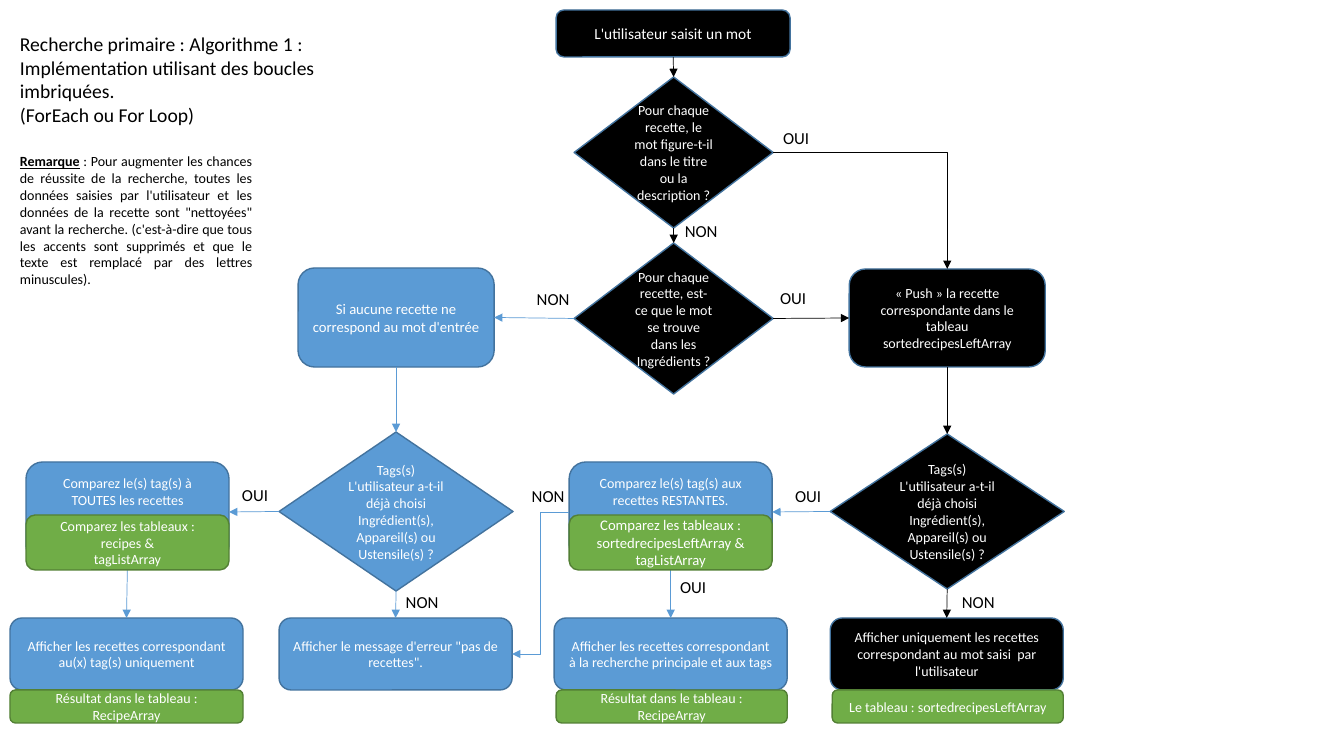
from pptx import Presentation
from pptx.dml.color import RGBColor
from pptx.enum.shapes import MSO_CONNECTOR, MSO_SHAPE
from pptx.enum.text import MSO_ANCHOR, PP_ALIGN
from pptx.oxml.ns import qn
from pptx.util import Emu, Inches, Pt
from lxml.etree import SubElement

PX = 914400 / 100.8
COLORS = {
    "black": "000000", "white": "FFFFFF", "blue": "5B9BD5",
    "green": "70AD47", "blue_edge": "43739E", "green_edge": "538035",
}
FONT = "Calibri"
TOP, LEFT, BOTTOM, RIGHT = range(4)  # connection sites of boxes and diamonds


def px(n):
    """Turn pixels into EMU."""
    return Emu(round(n * PX))


def rgb(name):
    """Look up a colour by name."""
    return RGBColor.from_string(COLORS[name])


class Flowchart:
    """Holds the style and the current slide."""

    def __init__(self, slide):
        """Keep the slide to draw on."""
        self.slide = slide

    def fill_text(self, tf, text, size, color, align):
        """Fill a text frame, one paragraph per line of text."""
        for i, line in enumerate(text.split("\n")):
            p = tf.paragraphs[0] if i == 0 else tf.add_paragraph()
            p.add_run().text = line
            p.alignment = align
            p.font.name, p.font.size = FONT, Pt(size)
            p.font.color.rgb = rgb(color)

    def node(self, kind, x, y, w, h, text, fill, size=10, bottom=5):
        """Add a filled shape with centred text; bottom is its lower inset."""
        sp = self.slide.shapes.add_shape(kind, px(x), px(y), px(w), px(h))
        sp.shadow.inherit = False
        sp.fill.solid()
        sp.fill.fore_color.rgb = rgb(fill)
        sp.line.color.rgb = rgb("green_edge" if fill == "green" else "blue_edge")
        sp.line.width = Pt(1)
        tf = sp.text_frame
        tf.word_wrap = True
        tf.vertical_anchor = MSO_ANCHOR.MIDDLE
        tf.margin_bottom = px(bottom)
        self.fill_text(tf, text, size, "white", PP_ALIGN.CENTER)
        return sp

    def box(self, *args, **kwargs):
        """Add a rounded box."""
        return self.node(MSO_SHAPE.ROUNDED_RECTANGLE, *args, **kwargs)

    def diamond(self, *args, **kwargs):
        """Add a decision diamond."""
        return self.node(MSO_SHAPE.DIAMOND, *args, **kwargs)

    def text(self, x, y, w, h, text, size, align=PP_ALIGN.LEFT, wrap=True):
        """Add a plain text box and return its text frame."""
        tf = self.slide.shapes.add_textbox(px(x), px(y), px(w), px(h)).text_frame
        tf.word_wrap = wrap
        self.fill_text(tf, text, size, "black", align)
        return tf

    def arrow(self, start, out, end, into, color, preset="line"):
        """Connect two shapes with an arrow of the given preset geometry."""
        kind = MSO_CONNECTOR.STRAIGHT if preset == "line" else MSO_CONNECTOR.ELBOW
        cxn = self.slide.shapes.add_connector(kind, 0, 0, 0, 0)
        cxn.begin_connect(start, out)
        cxn.end_connect(end, into)
        cxn.line.color.rgb = rgb(color)
        cxn.line.width = Pt(0.5)
        sp_pr = cxn._element.spPr
        sp_pr.find(qn("a:prstGeom")).set("prst", preset)
        SubElement(sp_pr.find(qn("a:ln")), qn("a:tailEnd"), type="triangle")
        SubElement(sp_pr, qn("a:effectLst"))


prs = Presentation()
prs.slide_width, prs.slide_height = Inches(13.33), Inches(7.5)
chart = Flowchart(prs.slides.add_slide(prs.slide_layouts[6]))

chart.text(10, 27, 335, 105,
           "Recherche primaire : Algorithme 1 :\n"
           "Implémentation utilisant des boucles imbriquées.\n"
           "(ForEach ou For Loop)", 14)
remark = chart.text(10, 148, 252, 146, "Remarque", 10, PP_ALIGN.JUSTIFY).paragraphs[0]
remark.runs[0].font.bold = remark.runs[0].font.underline = True
remark.add_run().text = (
    " : Pour augmenter les chances de réussite de la recherche, toutes les données "
    "saisies par l'utilisateur et les données de la recette sont \"nettoyées\" avant "
    "la recherche. (c'est-à-dire que tous les accents sont supprimés et que le texte "
    "est remplacé par des lettres minuscules).")

# Search by word
entry = chart.box(556, 10, 234, 47, "L'utilisateur saisit un mot", "black", size=11)
in_title, in_ingredients = [
    chart.diamond(574, y, 199, 151, "Pour chaque recette, " + question, "black")
    for y, question in (
        (77, "le mot figure-t-il dans le titre ou la description ?"),
        (243, "est-ce que le mot se trouve dans les Ingrédients ?"))]
no_match = chart.box(298, 268, 196, 99,
                     "Si aucune recette ne correspond au mot d'entrée", "blue", size=10.5)
push = chart.box(849, 269, 196, 98,
                 "«\u00a0Push\u00a0»\u00a0la recette correspondante dans le tableau "
                 "sortedrecipesLeftArray", "black")

# Search by tag
TAGS = ("Tags(s)\nL'utilisateur a-t-il déjà choisi\n"
        "Ingrédient(s), Appareil(s) ou Ustensile(s) ?")
tags_all = chart.diamond(279, 432, 234, 159, TAGS, "blue")
tags_left = chart.diamond(830, 434, 234, 155, TAGS, "black")
compare_all, compare_left = [
    chart.box(x, 462, 203, 100, "Comparez le(s) tag(s) " + target, "blue", bottom=46)
    for x, target in ((26, "à TOUTES les recettes"),
                      (569, "aux recettes RESTANTES."))]

# Outcomes
show_tags, show_error, show_both, show_word = [
    chart.box(x, 618, 233, 72, "Afficher " + text, color)
    for x, text, color in (
        (10, "les recettes correspondant au(x) tag(s) uniquement", "blue"),
        (279, "le message d'erreur \"pas de recettes\".", "blue"),
        (554, "les recettes correspondant à la recherche principale et aux tags", "blue"),
        (830, "uniquement les recettes correspondant au mot saisi  par l'utilisateur",
         "black"))]

for start, out, end, into, color in (
        (entry, BOTTOM, in_title, TOP, "black"),
        (in_title, BOTTOM, in_ingredients, TOP, "black"),
        (in_ingredients, RIGHT, push, LEFT, "black"),
        (in_ingredients, LEFT, no_match, RIGHT, "blue"),
        (push, BOTTOM, tags_left, TOP, "black"),
        (no_match, BOTTOM, tags_all, TOP, "blue"),
        (tags_left, LEFT, compare_left, RIGHT, "blue"),
        (tags_all, LEFT, compare_all, RIGHT, "blue"),
        (tags_left, BOTTOM, show_word, TOP, "black"),
        (tags_all, BOTTOM, show_error, TOP, "blue"),
        (compare_left, BOTTOM, show_both, TOP, "blue"),
        (compare_all, BOTTOM, show_tags, TOP, "blue")):
    chart.arrow(start, out, end, into, color)
chart.arrow(in_title, RIGHT, push, TOP, "black", "bentConnector2")
chart.arrow(compare_left, LEFT, show_error, RIGHT, "blue", "bentConnector3")

# Arrays used at each step
for x, y, w, h, text, size in (
        (26, 515, 203, 55, "Comparez les tableaux : recipes &\ntagListArray", 10),
        (569, 515, 203, 55,
         "Comparez les tableaux : sortedrecipesLeftArray &\ntagListArray", 10.5),
        (10, 690, 233, 33, "Résultat dans le tableau : RecipeArray", 10),
        (556, 690, 231, 33, "Résultat dans le tableau : RecipeArray", 10),
        (832, 690, 231, 33, "Le tableau : sortedrecipesLeftArray", 10)):
    chart.box(x, y, w, h, text, "green", size=size)

ANSWERS = {
    "OUI": ((796, 123), (793, 283), (808, 481), (255, 480), (693, 572)),
    "NON": ((701, 216), (553, 284), (548, 481), (978, 587), (422, 587)),
}
for answer, places in ANSWERS.items():
    for center, y in places:
        chart.text(center - 27, y, 54, 30, answer, 12, PP_ALIGN.CENTER, wrap=False)

prs.save("out.pptx")
